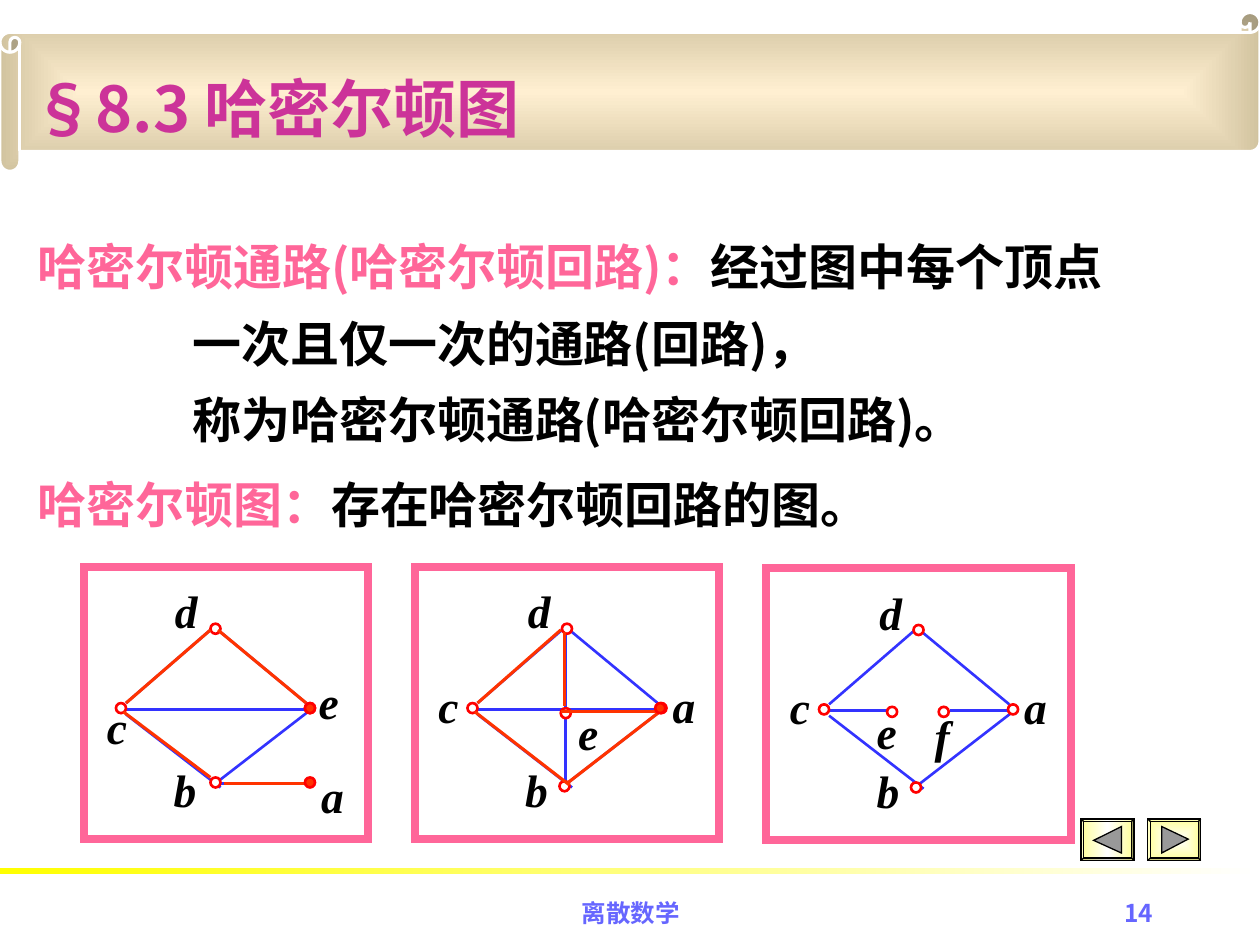
from lxml import etree
from pptx import Presentation
from pptx.dml.color import RGBColor
from pptx.enum import shapes, text
from pptx.oxml import ns
from pptx.util import Inches, Pt

CJK, LATIN = "Noto Sans CJK SC", "Times New Roman"
BLACK, WHITE, PINK, MAGENTA = "000000", "FFFFFF", "FF6699", "CC3399"
BLUE, RED, ORANGE, VIOLET, GREY = "3333FF", "FF0000", "FF3300", "6666FF", "999999"
CREAM = "FFFF99"
LEFT, CENTER, RIGHT = text.PP_ALIGN.LEFT, text.PP_ALIGN.CENTER, text.PP_ALIGN.RIGHT
MIDDLE = text.MSO_ANCHOR.MIDDLE
SHAPE = shapes.MSO_SHAPE

TITLE = "§8.3 哈密尔顿图"
# Box top, box height, paragraphs of (indent, runs of (words, colour))
DEFINITIONS = [
    (1.69, 1.92, [
        (0, [("哈密尔顿通路(哈密尔顿回路)：", PINK), ("经过图中每个顶点", BLACK)]),
        (1.23, [("一次且仅一次的通路(回路)，", BLACK)]),
        (1.23, [("称为哈密尔顿通路(哈密尔顿回路)。", BLACK)]),
    ]),
    (3.58, 0.71, [
        (0, [("哈密尔顿图：", PINK), ("存在哈密尔顿回路的图。", BLACK)]),
    ]),
]
# Words, left, width, alignment, font
FOOTERS = [("离散数学", 3.42, 3.17, CENTER, LATIN), ("14", 7.17, 2.08, RIGHT, CJK)]

# Positions inside a graph are measured from one corner point.
DIAMOND = [(1.08, 1.75, 0.33, 1.17), (1.05, 1.71, 1.80, 1.13),
           (1.76, 1.08, 1.06, 0.50), (0.33, 1.08, 1.00, 0.50)]
TOP, SIDE_LEFT, SIDE_RIGHT = (1.04, 0.49), (0.29, 1.12), (1.79, 1.12)
CROSSBAR = (1.79, 1.13, 0.29, 1.13)
GRAPHS = [
    dict(corner=(0.67, 4.5), width=2.25,
         edges=[CROSSBAR, (1.74, 1.72, 1.04, 1.72)],
         nodes=[(1.04, 1.71)],
         labels={"d": (0.62, 0.08), "b": (0.61, 1.5), "a": (1.78, 1.55),
                 "e": (1.76, 0.8), "c": (0.08, 1)},
         route=[(1.00, 1.67, 0.31, 1.15), (1.76, 1.08, 1.06, 0.50),
                (0.33, 1.08, 1.00, 0.50), (1.74, 1.72, 1.11, 1.72)],
         filled=[(1.79, 1.71), SIDE_RIGHT]),
    dict(corner=(3.46, 4.5), width=2.42, frame_shift=-0.17,
         edges=[CROSSBAR, (1.03, 1.12, 1.03, 0.54), (1.03, 1.70, 1.03, 1.20)],
         nodes=[(1.02, 1.74), (1.03, 1.16)],
         labels={"d": (0.63, 0.08), "b": (0.61, 1.5), "a": (1.78, 0.83),
                 "e": (1.03, 1.05), "c": (-0.08, 0.83)},
         route=[(1.06, 1.73, 0.31, 1.15), (1.05, 1.71, 1.80, 1.13),
                (1.79, 1.15, 0.99, 1.15), (0.33, 1.08, 0.99, 0.50),
                (1.02, 1.10, 1.02, 0.52)],
         filled=[(1.78, 1.12)]),
    dict(corner=(6.25, 4.51), width=2.42, frame_shift=-0.17,
         edges=[(1.77, 1.13, 1.29, 1.13), (0.80, 1.13, 0.33, 1.13)],
         nodes=[(1.02, 1.74), (0.83, 1.14), (1.24, 1.14)],
         labels={"d": (0.63, 0.08), "b": (0.61, 1.5), "a": (1.78, 0.83),
                 "e": (0.61, 1.03), "c": (-0.08, 0.83), "f": (1.07, 1.06)},
         route=[], filled=[]),
]
# Left edge of the button, gradient colours, gradient angle, corners of its arrow
BUTTONS = [(9.11, [WHITE, CREAM], None, [(9.22, 6.56), (9.43, 6.66), (9.22, 6.77)]),
           (8.58, [CREAM, WHITE, CREAM], 180,
            [(8.68, 6.67), (8.9, 6.56), (8.9, 6.77)])]


def rgb(value):
    return RGBColor.from_string(value)


def style(shape, fill=None, line=None, width=1.0):
    shape.shadow.inherit = False
    if fill:
        shape.fill.solid()
        shape.fill.fore_color.rgb = rgb(fill)
    if line:
        shape.line.color.rgb = rgb(line)
        shape.line.width = Pt(width)
        outline = shape.element.spPr.find(ns.qn("a:ln"))
        etree.SubElement(outline, ns.qn("a:miter"), lim="800000")
    else:
        shape.line.fill.background()


def add_box(parent, kind, box, fill=None, line=None, width=1.0):
    shape = parent.add_shape(kind, *map(Inches, box))
    style(shape, fill, line, width)
    return shape


def fill_gradient(shape, colours, angle=None):
    """Fill with evenly spaced stops, linear at an angle or outward from the centre."""
    shape.fill.background()
    old = shape.element.spPr.find(ns.qn("a:noFill"))
    gradient = etree.Element(ns.qn("a:gradFill"), rotWithShape="1")
    stops = etree.SubElement(gradient, ns.qn("a:gsLst"))
    for index, colour in enumerate(colours):
        position = 100000 * index // (len(colours) - 1)
        stop = etree.SubElement(stops, ns.qn("a:gs"), pos=str(position))
        etree.SubElement(stop, ns.qn("a:srgbClr"), val=colour)
    if angle is None:
        outward = etree.SubElement(gradient, ns.qn("a:path"))
        outward.set("path", "rect")
        etree.SubElement(outward, ns.qn("a:fillToRect"),
                         l="50000", t="50000", r="50000", b="50000")
    else:
        etree.SubElement(gradient, ns.qn("a:lin"), ang=str(angle * 60000), scaled="1")
    old.getparent().replace(old, gradient)


def format_paragraph(paragraph, size, name, colour=None, align=LEFT, italic=False):
    paragraph.alignment = align
    font = paragraph.font
    font.size, font.bold, font.italic, font.name = Pt(size), True, italic, name
    if colour:
        font.color.rgb = rgb(colour)
    properties = paragraph._p.pPr.find(ns.qn("a:defRPr"))
    etree.SubElement(properties, ns.qn("a:ea"), typeface=CJK)


def add_text(parent, box, words, size, name, colour, align=LEFT, italic=False):
    frame = parent.add_textbox(*map(Inches, box)).text_frame
    frame.word_wrap = True
    frame.text = words
    format_paragraph(frame.paragraphs[0], size, name, colour, align, italic)


def add_definition(slide, top, height, paragraphs):
    box = slide.shapes.add_textbox(*map(Inches, (0.2, top, 9.8, height)))
    frame = box.text_frame
    frame.word_wrap = True
    for index, (indent, runs) in enumerate(paragraphs):
        paragraph = frame.add_paragraph() if index else frame.paragraphs[0]
        paragraph.line_spacing = 1.3
        paragraph._p.get_or_add_pPr().set("marL", str(Inches(indent)))
        format_paragraph(paragraph, 28, CJK)
        for words, colour in runs:
            run = paragraph.add_run()
            run.text = words
            run.font.color.rgb = rgb(colour)


def add_graph(slide, graph):
    parent = slide.shapes.add_group_shape().shapes
    x, y = graph["corner"]

    def add_edges(edges, colour, width):
        for x1, y1, x2, y2 in edges:
            edge = parent.add_connector(shapes.MSO_CONNECTOR.STRAIGHT, *map(
                Inches, (x + x1, y + y1, x + x2, y + y2)))
            edge.line.color.rgb = rgb(colour)
            edge.line.width = Pt(width)
            etree.SubElement(edge.element.spPr, ns.qn("a:effectLst"))

    def add_nodes(centres, fill):
        for dx, dy in centres:
            add_box(parent, SHAPE.OVAL, (x + dx - 0.04, y + dy - 0.04, 0.08, 0.08),
                    fill, RED, 1.5)

    frame_left = x + graph.get("frame_shift", 0)
    add_box(parent, SHAPE.RECTANGLE, (frame_left, y, graph["width"], 2.16),
            WHITE, PINK, 4.5)
    add_edges(DIAMOND + graph["edges"], BLUE, 1.5)
    add_nodes([TOP, SIDE_LEFT, SIDE_RIGHT] + graph["nodes"], WHITE)
    for letter, (dx, dy) in graph["labels"].items():
        add_text(parent, (x + dx, y + dy, 0.55, 0.54), letter, 26, LATIN, BLACK,
                 italic=True)
    add_edges(graph["route"], ORANGE, 1.75)
    add_nodes(graph["filled"], ORANGE)


def add_button(slide, left, colours, angle, corners):
    button = add_box(slide.shapes, SHAPE.BEVEL, (left, 6.5, 0.42, 0.33),
                     line=BLACK, width=0.75)
    button.adjustments[0] = 0.06
    fill_gradient(button, colours, angle)
    points = [(Inches(px), Inches(py)) for px, py in corners]
    builder = slide.shapes.build_freeform(*points[0])
    builder.add_line_segments(points[1:], close=True)
    style(builder.convert_to_shape(), GREY, BLACK, 0.75)


def main():
    presentation = Presentation()
    presentation.slide_width, presentation.slide_height = Inches(10), Inches(7.5)
    slide = presentation.slides.add_slide(presentation.slide_layouts[5])

    rule = add_box(slide.shapes, SHAPE.RECTANGLE, (0, 6.89, 10, 0.05))
    fill_gradient(rule, [WHITE, "FFFF00"], 180)
    scroll = add_box(slide.shapes, SHAPE.HORIZONTAL_SCROLL, (0, 0.1, 10, 1.26),
                     line=WHITE, width=1.75)
    fill_gradient(scroll, ["FFEFD1", "D1C39F"])

    title = slide.shapes.title
    title.left, title.top, title.width, title.height = map(
        Inches, (0.16, 0.39, 9.5, 0.92))
    title.text_frame.text = TITLE
    title.text_frame.vertical_anchor = MIDDLE
    format_paragraph(title.text_frame.paragraphs[0], 36, CJK, MAGENTA)
    scroll.element.addnext(title.element)

    for button in BUTTONS:
        add_button(slide, *button)
    for definition in DEFINITIONS:
        add_definition(slide, *definition)
    for graph in GRAPHS:
        add_graph(slide, graph)
    for words, left, width, align, name in FOOTERS:
        add_text(slide.shapes, (left, 7.08, width, 0.4), words, 14, name, VIOLET, align)

    presentation.save("out.pptx")


if __name__ == "__main__":
    main()
